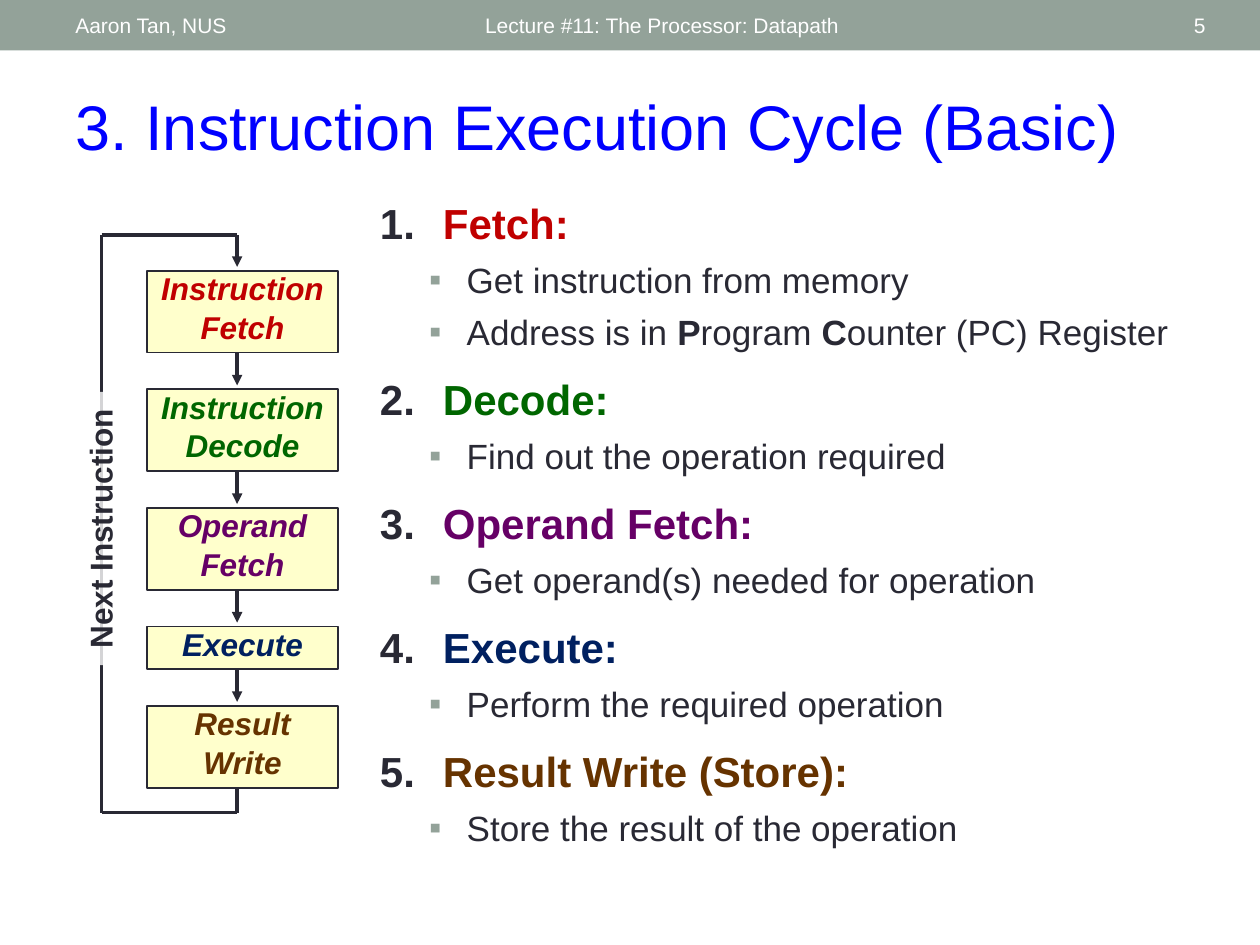
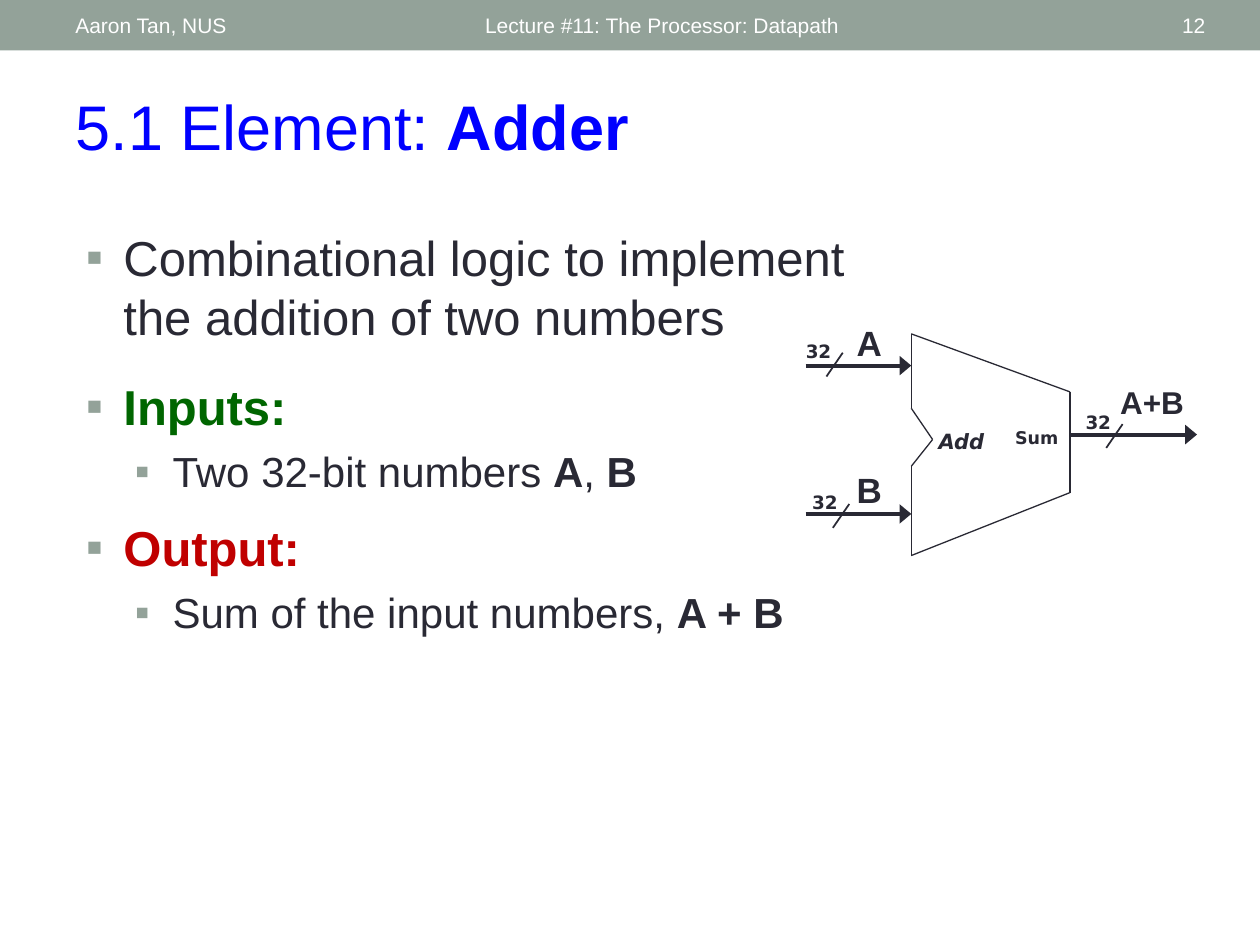
from dataclasses import dataclass
from itertools import pairwise

from pptx import Presentation
from pptx.dml.color import RGBColor as Rgb
from pptx.enum.shapes import MSO_CONNECTOR as Connector, MSO_SHAPE as Preset
from pptx.enum.text import MSO_ANCHOR as Anchor, MSO_AUTO_SIZE as AutoSize, PP_ALIGN as Align
from pptx.oxml import parse_xml
from pptx.oxml.ns import nsdecls, qn
from pptx.util import Cm, Pt


@dataclass(frozen=True)
class Theme:
    font: str = "Arial"
    diagram_font: str = "DejaVu Sans"
    ink: str = "292934"
    sage: str = "93A299"
    white: str = "FFFFFF"
    title_blue: str = "0000FF"
    stage_fill: str = "FFFFCC"
    red: str = "C00000"
    green: str = "006600"
    purple: str = "660066"
    navy: str = "002060"
    brown: str = "663300"
    header_size: float = 12
    title_size: float = 36
    label_size: float = 18


theme = Theme()


def write(frame, text, size=theme.label_size, color=theme.ink, font=theme.font, bold=False,
          italic=False, align=Align.LEFT, anchor=Anchor.TOP, wrap=True, before=0, spacing=None,
          bullet=None, level=0, indent=0, hanging=0):
    """Add a paragraph; *stars* switch bold on and off. Bullet is a character or "1."."""
    frame.word_wrap = wrap
    frame.vertical_anchor = anchor
    para = frame.paragraphs[0]
    if para.runs:
        para = frame.add_paragraph()
    para.alignment = align
    para.level = level
    para.space_before = Pt(before)
    if spacing:
        para.line_spacing = spacing
    for index, part in enumerate(text.split("*")):
        if part:
            span = para.add_run()
            span.text = part
            span.font.name = font
            span.font.size = Pt(size)
            span.font.bold = bold or index % 2 == 1
            span.font.italic = italic
            span.font.color.rgb = Rgb.from_string(color)
    if bullet:
        props = para._p.get_or_add_pPr()
        props.set("marL", str(Cm(indent)))
        props.set("indent", str(-Cm(hanging)))
        numbered = bullet == "1."
        bullet_color = theme.ink if numbered else theme.sage
        mark = 'buAutoNum {} type="arabicPeriod"' if numbered else f'buChar {{}} char="{bullet}"'
        for tag in (f'buClr {{}}><a:srgbClr val="{bullet_color}"/></a:buClr',
                    f'buFont {{}} typeface="{theme.font}"/', mark + "/"):
            props.append(parse_xml(f"<a:{tag.format(nsdecls('a'))}>"))


def draw_line(page, start, end, width, head=None):
    """Draw a straight line; head is the width of its arrowhead (med or lg)."""
    line = page.shapes.add_connector(Connector.STRAIGHT, *map(Cm, start + end))
    line.line.color.rgb = Rgb.from_string(theme.ink)
    line.line.width = Pt(width)
    props = line._element.spPr
    props.append(parse_xml(f"<a:effectLst {nsdecls('a')}/>"))
    if head:
        props.find(qn("a:ln")).append(parse_xml(
            f'<a:tailEnd {nsdecls("a")} type="triangle" w="{head}" len="med"/>'))


deck = Presentation()
deck.slide_width, deck.slide_height = Cm(25.4), Cm(19.05)
title_only = deck.slide_layouts[5]

# Header band and title of both slides
pages = []
for number, title in (("5", "3. Instruction Execution Cycle (Basic)"),
                      ("12", "5.1 Element: *Adder*")):
    page = deck.slides.add_slide(title_only)
    pages.append(page)
    band = page.shapes.add_shape(Preset.RECTANGLE, 0, 0, deck.slide_width, Cm(1.02))
    band.shadow.inherit = False
    band.fill.solid()
    band.fill.fore_color.rgb = Rgb.from_string(theme.sage)
    band.line.fill.background()
    for left, width, text, align in (
            (9.53, 11.43, "Lecture #11: The Processor: Datapath", Align.LEFT),
            (1.27, 8.05, "Aaron Tan, NUS", Align.LEFT),
            (22.14, 2.41, number, Align.RIGHT)):
        box = page.shapes.add_textbox(Cm(left), Cm(0.05), Cm(width), Cm(0.91))
        write(box.text_frame, text, size=theme.header_size, color=theme.white,
              align=align, anchor=Anchor.MIDDLE)
    heading = page.shapes.title
    heading.left, heading.top, heading.width, heading.height = map(Cm, (1.27, 1.63, 22.86, 1.8))
    heading.text_frame.auto_size = AutoSize.NONE
    write(heading.text_frame, title, size=theme.title_size, color=theme.title_blue)

cycle_page, adder_page = pages
sub_point = dict(bullet="▪", level=1, indent=1.75, hanging=0.76, before=6)

# Instruction cycle: numbered explanation
steps = (
    ("Fetch:", theme.red, ("Get instruction from memory",
                           "Address is in *P*rogram *C*ounter (PC) Register")),
    ("Decode:", theme.green, ("Find out the operation required",)),
    ("Operand Fetch:", theme.purple, ("Get operand(s) needed for operation",)),
    ("Execute:", theme.navy, ("Perform the required operation",)),
    ("Result Write (Store):", theme.brown, ("Store the result of the operation",)),
)
body = cycle_page.shapes.add_textbox(Cm(7.41), Cm(3.85), Cm(16.94), Cm(14.02)).text_frame
for index, (name, color, details) in enumerate(steps):
    write(body, name, size=24, color=color, bold=True, bullet="1.", indent=1.27, hanging=1.27,
          before=12 if index else 3)
    for detail in details:
        write(body, detail, size=20, **sub_point)

# Instruction cycle: stages joined by arrows
stages = (("Instruction", "Fetch"), ("Instruction", "Decode"), ("Operand", "Fetch"),
          ("Execute",), ("Result", "Write"))
stage_left, stage_width, stage_gap, arrow_gap = 2.97, 3.84, 0.74, 0.08
arrow_x, loop_x, loop_top, loop_bottom = 4.78, 2.05, 4.74, 16.38
first_top = top = 5.46
for words, (_, color, _) in zip(stages, steps):
    height = 1.65 if len(words) == 2 else 0.86
    stage = cycle_page.shapes.add_shape(Preset.RECTANGLE, Cm(stage_left), Cm(top),
                                        Cm(stage_width), Cm(height))
    stage.shadow.inherit = False
    stage.fill.solid()
    stage.fill.fore_color.rgb = Rgb.from_string(theme.stage_fill)
    stage.line.color.rgb = Rgb.from_string(theme.ink)
    stage.line.width = Pt(1)
    frame = stage.text_frame
    frame.margin_left = frame.margin_right = Cm(0.18)
    frame.margin_top = frame.margin_bottom = Cm(0.08)
    for index, word in enumerate(words):
        write(frame, word, color=color, bold=True, italic=True, align=Align.CENTER,
              spacing=0.86, before=3.4 if index else 1)
    bottom = top + height
    top = bottom + stage_gap
    if words != stages[-1]:
        draw_line(cycle_page, (arrow_x, bottom), (arrow_x, top - arrow_gap), 2, head="med")

# Instruction cycle: loop back to the first stage
loop = ((arrow_x, bottom), (arrow_x, loop_bottom), (loop_x, loop_bottom),
        (loop_x, loop_top), (arrow_x, loop_top), (arrow_x, first_top - arrow_gap))
for start, end in pairwise(loop):
    draw_line(cycle_page, start, end, 2, head="med" if end == loop[-1] else None)
loop_label = cycle_page.shapes.add_shape(Preset.RECTANGLE, Cm(-0.74), Cm(10.16), Cm(5.51), Cm(0.99))
loop_label.rotation = 270
loop_label.shadow.inherit = False
loop_label.line.fill.background()
loop_label.fill.solid()
loop_label.fill.fore_color.rgb = Rgb.from_string(theme.white)
fill_color = loop_label._element.spPr.find(qn("a:solidFill")).find(qn("a:srgbClr"))
fill_color.append(parse_xml(f'<a:alpha {nsdecls("a")} val="80000"/>'))
write(loop_label.text_frame, "Next Instruction", bold=True, align=Align.CENTER,
      anchor=Anchor.MIDDLE, wrap=False)

# Adder: description
main_point = dict(size=28, bullet="▪", indent=0.76, hanging=0.76)
body = adder_page.shapes.add_textbox(Cm(1.48), Cm(4.46), Cm(17.2), Cm(10.26)).text_frame
write(body, "Combinational logic to implement the addition of two numbers", before=3, **main_point)
write(body, "Inputs:", color=theme.green, bold=True, before=18, **main_point)
write(body, "Two 32-bit numbers *A*, *B*", size=24, **sub_point)
write(body, "Output:", color=theme.red, bold=True, before=12, **main_point)
write(body, "Sum of the input numbers, *A + B*", size=24, **sub_point)

# Adder: outline, one line per edge
corners = ((18.37, 6.73), (21.57, 7.9), (21.57, 9.93), (18.37, 11.2),
           (18.37, 9.4), (18.8, 8.86), (18.37, 8.23))
for start, end in pairwise(corners + corners[:1]):
    draw_line(adder_page, start, end, 0.75)

# Adder: signals with their bus-width slashes
labels = [
    (16.99, 6.48, 1.07, 0.84, "A", dict(size=20, anchor=Anchor.MIDDLE)),
    (16.99, 9.45, 1.07, 0.84, "B", dict(size=20, anchor=Anchor.MIDDLE)),
    (22.27, 7.68, 1.91, 0.84, "A+B", dict(anchor=Anchor.MIDDLE)),
    (20.2, 8.48, 1.4, 0.69, "Sum", dict(size=10, font=theme.diagram_font)),
    (18.67, 8.51, 1.42, 0.76, "Add", dict(size=12, font=theme.diagram_font, italic=True)),
]
for start_x, end_x, y, slash_x, slash_y in ((16.24, 18.37, 7.37, 16.99, 7.11),
                                            (16.24, 18.37, 10.36, 17.12, 10.16),
                                            (21.57, 24.13, 8.76, 22.63, 8.55)):
    draw_line(adder_page, (start_x, y), (end_x, y), 2.25, head="lg")
    draw_line(adder_page, (slash_x, slash_y), (slash_x - 0.33, slash_y + 0.48), 1)
    labels.append((slash_x - 1.01, slash_y - 0.38, 1.04, 0.71, "32",
                   dict(size=10.5, font=theme.diagram_font)))
for left, top, width, height, text, style in labels:
    box = adder_page.shapes.add_textbox(Cm(left), Cm(top), Cm(width), Cm(height))
    write(box.text_frame, text, bold=True, align=Align.CENTER, wrap=False, **style)

deck.save("out.pptx")
